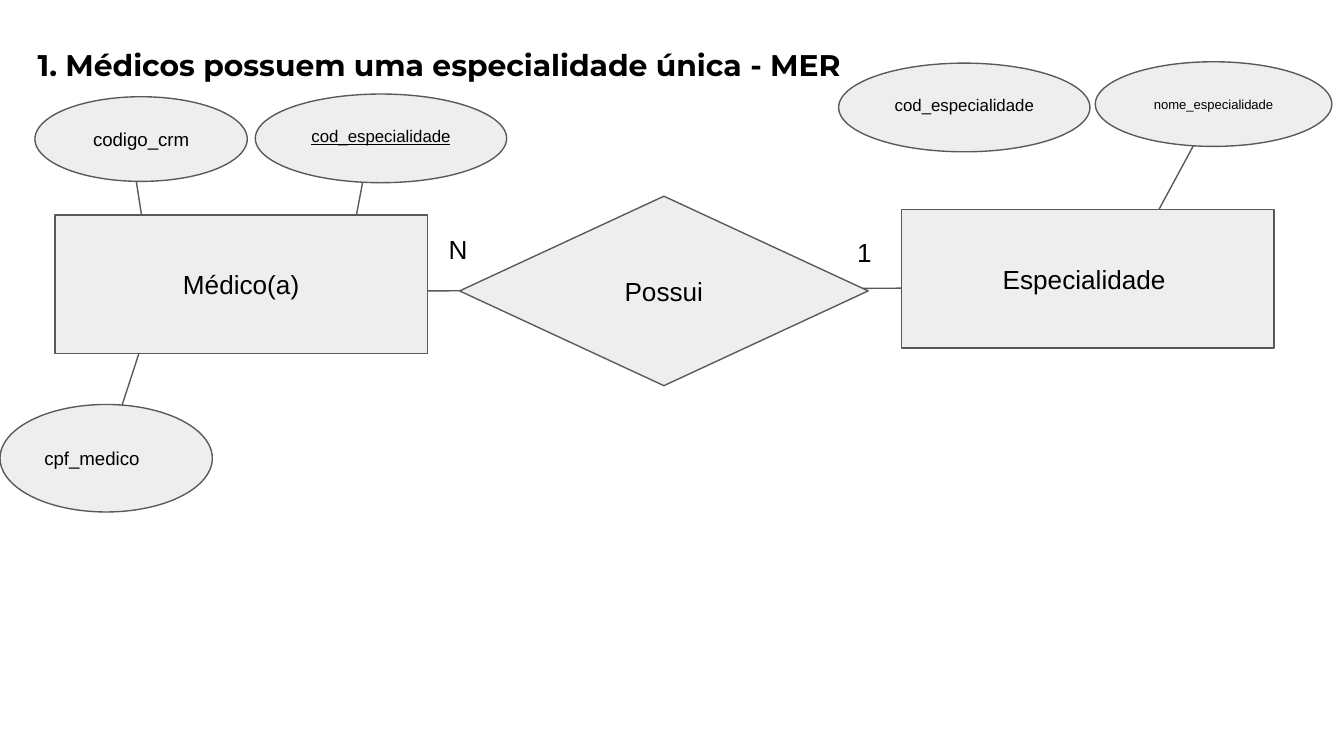
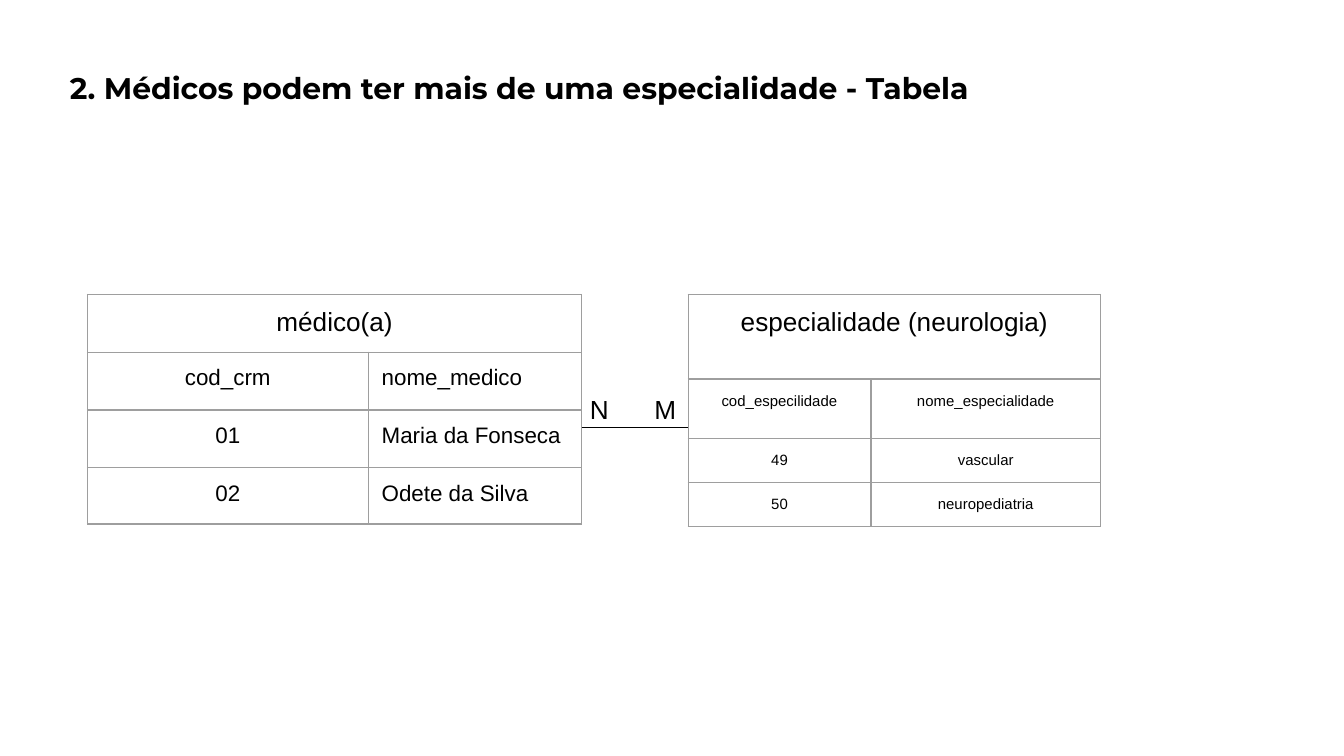
"""Build two slides on doctors and their fields: a diagram and a pair of tables."""
from dataclasses import dataclass
from typing import Any, NamedTuple

from lxml.etree import SubElement
from pptx import Presentation
from pptx.dml.color import RGBColor
from pptx.enum.shapes import MSO_CONNECTOR, MSO_SHAPE
from pptx.enum.text import MSO_ANCHOR, MSO_AUTO_SIZE, PP_ALIGN
from pptx.oxml.ns import qn
from pptx.util import Inches, Pt


@dataclass(frozen=True)
class Theme:
    """Colours, fonts and sizes for the whole deck."""

    ink: str = "000000"
    fill: str = "EEEEEE"
    edge: str = "595959"
    grid: str = "9E9E9E"
    body: str = "Arial"
    head: str = "Montserrat"
    title: int = 16
    large: int = 14
    cell: int = 12
    mid: int = 10
    small: int = 9
    note: int = 8
    tiny: int = 7
    line: float = 0.75
    pad: float = 0.1


class Box(NamedTuple):
    """A place on the slide, in inches."""

    left: float
    top: float
    width: float
    height: float


class Link(NamedTuple):
    """A straight line between two points."""

    x1: float
    y1: float
    x2: float
    y2: float


@dataclass(frozen=True)
class Node:
    """A shape of the diagram with its label."""

    kind: MSO_SHAPE
    text: str
    box: Box
    size: int
    align: PP_ALIGN = PP_ALIGN.CENTER
    under: bool = False
    lift: float = 0


@dataclass(frozen=True)
class Mark:
    """A count beside a link."""

    text: str
    box: Box


@dataclass(frozen=True)
class Grid:
    """A table with one merged head row."""

    head: str
    rows: list[tuple[str, str]]
    box: Box
    cols: list[float]
    highs: list[float]
    size: int
    aligns: tuple[PP_ALIGN, PP_ALIGN]


LOOK = Theme()
LEFT, MID = PP_ALIGN.LEFT, PP_ALIGN.CENTER
PADS = {f"margin_{side}": Inches(LOOK.pad) for side in ("left", "right", "top", "bottom")}


def put(item: Any, form: dict[str, Any]) -> None:
    """Set each named value on an item."""
    for name, value in form.items():
        setattr(item, name, value)


def place(box: Box) -> list[int]:
    """Turn a box into lengths."""
    return [Inches(part) for part in box]


def write(frame: Any, text: str, size: int, align: PP_ALIGN = LEFT, **form: Any) -> None:
    """Fill a frame with one styled line."""
    line = frame.paragraphs[0]
    line.alignment = align
    run = line.add_run()
    run.text = text
    put(run.font, {"name": LOOK.body, "size": Pt(size), **form})
    run.font.color.rgb = RGBColor.from_string(LOOK.ink)


def stroke(line: Any, tint: str) -> None:
    """Give a line its colour and width."""
    line.color.rgb = RGBColor.from_string(tint)
    line.width = Pt(LOOK.line)


def add_title(slide: Any, text: str, left: float, top: float) -> None:
    """Move and style the title."""
    title = slide.shapes.title
    spots = place(Box(left, top, 8.64, 0.47))
    put(title, dict(zip(("left", "top", "width", "height"), spots)))
    frame = title.text_frame
    put(frame, {"word_wrap": True, "auto_size": MSO_AUTO_SIZE.NONE,
                "vertical_anchor": MSO_ANCHOR.TOP, **PADS})
    write(frame, text, LOOK.title, name=LOOK.head, bold=True)


def add_link(slide: Any, link: Link, tint: str) -> None:
    """Draw a plain line."""
    line = slide.shapes.add_connector(MSO_CONNECTOR.STRAIGHT, *[Inches(end) for end in link])
    stroke(line.line, tint)
    SubElement(line._element.spPr, qn("a:effectLst"))


def add_node(slide: Any, node: Node) -> None:
    """Draw a labelled shape."""
    shape = slide.shapes.add_shape(node.kind, *place(node.box))
    shape.shadow.inherit = False
    shape.fill.solid()
    shape.fill.fore_color.rgb = RGBColor.from_string(LOOK.fill)
    stroke(shape.line, LOOK.edge)
    frame = shape.text_frame
    put(frame, {"word_wrap": True, "vertical_anchor": MSO_ANCHOR.MIDDLE, **PADS,
                "margin_bottom": Inches(LOOK.pad + 2 * node.lift)})
    write(frame, node.text, node.size, node.align, underline=node.under)


def add_mark(slide: Any, mark: Mark) -> None:
    """Write a count."""
    frame = slide.shapes.add_textbox(*place(mark.box)).text_frame
    frame.word_wrap = True
    write(frame, mark.text, LOOK.large)


def frame_cell(cell: Any) -> None:
    """Clear a cell and draw its four edges."""
    put(cell, {"vertical_anchor": MSO_ANCHOR.TOP, **PADS})
    cell.fill.background()
    props = cell._tc.get_or_add_tcPr()
    for spot, side in enumerate("LRTB"):
        edge = SubElement(props, qn(f"a:ln{side}"), w=str(Pt(LOOK.line)))
        SubElement(SubElement(edge, qn("a:solidFill")), qn("a:srgbClr"), val=LOOK.grid)
        props.insert(spot, edge)


def add_grid(slide: Any, grid: Grid) -> None:
    """Draw a table."""
    count = len(grid.highs), len(grid.cols)
    table = slide.shapes.add_table(*count, *place(grid.box)).table
    put(table, {"first_row": False, "horz_banding": False})
    for col, width in zip(table.columns, grid.cols):
        col.width = Inches(width)
    for row, high in zip(table.rows, grid.highs):
        row.height = Inches(high)
    for cell in table.iter_cells():
        frame_cell(cell)
    table.cell(0, 0).merge(table.cell(0, 1))
    write(table.cell(0, 0).text_frame, grid.head, LOOK.large, MID)
    for down, row in enumerate(grid.rows, 1):
        for over, (text, align) in enumerate(zip(row, grid.aligns)):
            write(table.cell(down, over).text_frame, text, grid.size, align)


LINKS = [
    Link(8.52, 1.75, 8.99, 0.88), Link(2.62, 1.77, 2.77, 0.98),
    Link(0.9, 3.04, 1.05, 2.58), Link(1.1, 1.9, 1, 1.26),
    Link(5.63, 2.15, 7.5, 2.14), Link(2.29, 2.17, 4.07, 2.16),
]
OVAL, RECT = MSO_SHAPE.OVAL, MSO_SHAPE.RECTANGLE
NODES = [
    Node(MSO_SHAPE.DIAMOND, "Possui", Box(3.42, 1.46, 3.04, 1.41), LOOK.large),
    Node(RECT, "Especialidade ", Box(6.71, 1.56, 2.77, 1.03), LOOK.large),
    Node(RECT, "Médico(a)", Box(0.41, 1.6, 2.77, 1.03), LOOK.large),
    Node(OVAL, "nome_especialidade", Box(8.15, 0.46, 1.76, 0.63), LOOK.tiny),
    Node(OVAL, "codigo_crm", Box(0.26, 0.72, 1.58, 0.63), LOOK.mid),
    Node(OVAL, "cod_especialidade", Box(6.24, 0.47, 1.87, 0.66), LOOK.small, lift=0.02),
    Node(OVAL, "cpf_medico", Box(0, 3.01, 1.58, 0.8), LOOK.mid, LEFT),
    Node(OVAL, "cod_especialidade", Box(1.9, 0.7, 1.87, 0.66), LOOK.small,
         under=True, lift=0.02),
]
MARKS = [Mark("N", Box(3.24, 1.69, 0.35, 0.34)), Mark("1", Box(6.28, 1.71, 0.35, 0.34))]
GRIDS = [
    Grid("médico(a)",
         [("cod_crm", "nome_medico"), ("01", "Maria da Fonseca"), ("02", "Odete da Silva")],
         Box(0.65, 2.19, 3.68, 1.72), [2.09, 1.59], [0.43, 0.43, 0.43, 0.42],
         LOOK.cell, (MID, LEFT)),
    Grid("especialidade (neurologia)",
         [("cod_especilidade", "nome_especialidade"), ("49", "vascular"),
          ("50", "neuropediatria")],
         Box(5.12, 2.19, 3.08, 1.77), [1.36, 1.71], [0.63, 0.44, 0.33, 0.33],
         LOOK.note, (MID, MID)),
]
PAIR = [Mark("M", Box(4.77, 2.88, 0.23, 0.34)), Mark("N", Box(4.29, 2.88, 0.28, 0.34))]


def draw_model(slide: Any) -> None:
    """Draw the diagram slide."""
    add_title(slide, "1. Médicos possuem uma especialidade única - MER", 0.18, 0.25)
    for link in LINKS:
        add_link(slide, link, LOOK.edge)
    for node in NODES:
        add_node(slide, node)
    for mark in MARKS:
        add_mark(slide, mark)


def draw_tables(slide: Any) -> None:
    """Draw the table slide."""
    add_title(slide, "2. Médicos podem ter mais de uma especialidade - Tabela ", 0.42, 0.42)
    for grid in GRIDS:
        add_grid(slide, grid)
    add_link(slide, Link(4.33, 3.18, 5.12, 3.18), LOOK.ink)
    for mark in PAIR:
        add_mark(slide, mark)


def main() -> None:
    """Make and save the deck in a 16:9 format."""
    deck = Presentation()
    put(deck, {"slide_width": Inches(10), "slide_height": Inches(10 * 9 / 16)})
    for draw in (draw_model, draw_tables):
        draw(deck.slides.add_slide(deck.slide_layouts[5]))
    deck.save("out.pptx")


main()
